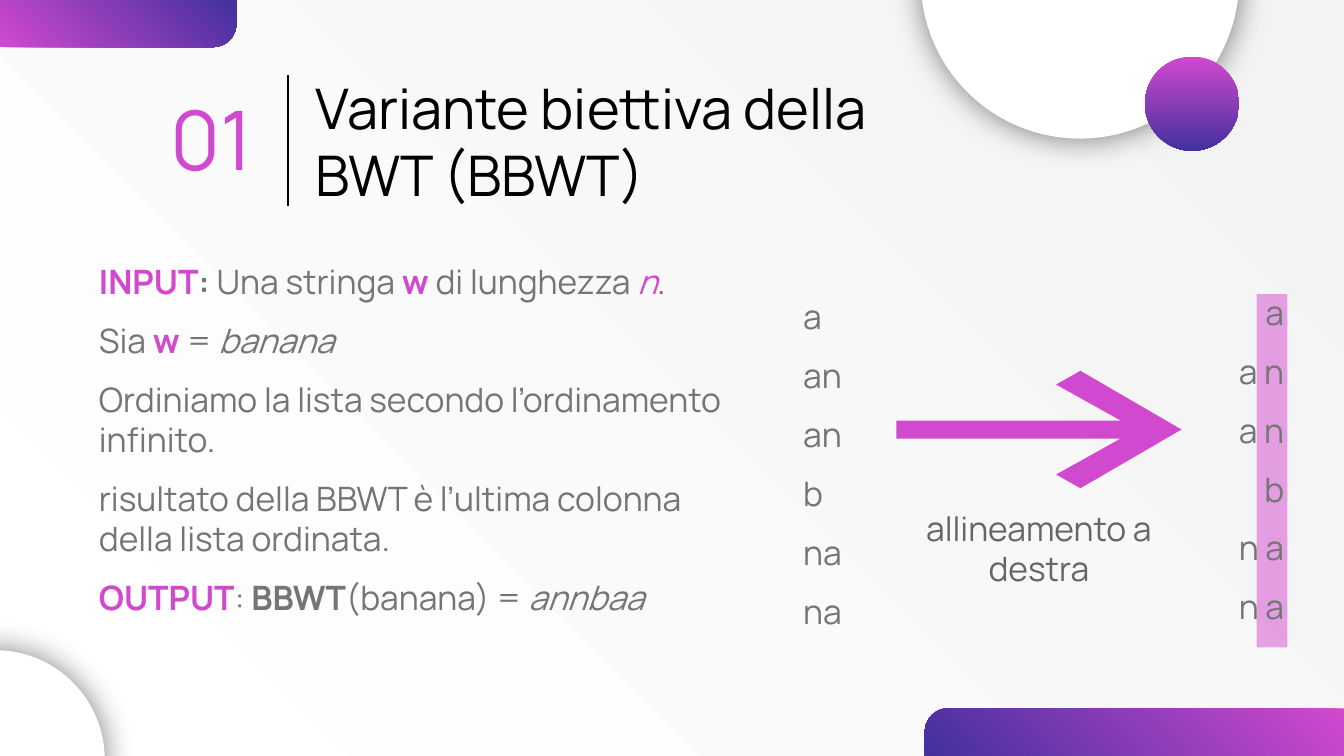
import dataclasses

import lxml.etree
import pptx
import pptx.dml.color
import pptx.enum.dml
import pptx.enum.shapes
import pptx.enum.text
import pptx.oxml
import pptx.oxml.ns
import pptx.util

Cm = pptx.util.Cm
Pt = pptx.util.Pt
ALIGN = pptx.enum.text.PP_ALIGN
ANCHOR = pptx.enum.text.MSO_ANCHOR
SHAPES = pptx.enum.shapes.MSO_SHAPE


@dataclasses.dataclass(frozen=True)
class Theme:
    font: str = "Manrope"
    accent: str = "D149CE"
    violet: str = "43309F"
    black: str = "000000"
    white: str = "FFFFFF"
    pale: str = "F3F3F3"
    body: str = "757575"
    caption: str = "666666"
    title_size: int = 30
    number_size: int = 44
    body_size: int = 18


THEME = Theme()
BOLD = {"bold": True}
ITALIC = {"italic": True}
KEYWORD = {"color": THEME.accent, "bold": True}
VARIABLE = {"color": THEME.accent, "italic": True}

BODY = [
    [("INPUT", KEYWORD), (": ", BOLD), ("Una stringa ", {}), ("w", KEYWORD),
     (" di lunghezza ", {}), ("n", VARIABLE), (".", {})],
    [("Sia ", {}), ("w ", KEYWORD), ("= ", {}), ("banana", ITALIC)],
    [("Ordiniamo la lista secondo l’ordinamento infinito.", {})],
    [("risultato della BBWT è l’ultima colonna della lista ordinata.", {})],
    [("OUTPUT", KEYWORD), (": ", {}), ("BBWT", BOLD), ("(banana) = ", {}),
     ("annbaa", ITALIC)],
]
SORTED_WORDS = ["a", "an", "an", "b", "na", "na"]


def rgb(value):
    return pptx.dml.color.RGBColor.from_string(value)


def set_values(target, values):
    for name, value in values.items():
        setattr(target, name, value)


def plain(text):
    return [(text, {})]


def add_effects(shape, blur=None):
    effects = pptx.oxml.ns.qn("a:effectLst")
    properties = shape.element.spPr
    for old in properties.findall(effects):
        properties.remove(old)
    effect_list = lxml.etree.SubElement(properties, effects)
    if blur:
        shadow = lxml.etree.SubElement(
            effect_list, pptx.oxml.ns.qn("a:outerShdw"), blurRad=str(Pt(blur)), dist="0")
        color = lxml.etree.SubElement(shadow, pptx.oxml.ns.qn("a:srgbClr"), val=THEME.black)
        lxml.etree.SubElement(color, pptx.oxml.ns.qn("a:alpha"), val="50000")


def fill_gradient(fill, start, end, angle):
    fill.gradient()
    fill.gradient_angle = angle
    for stop, position, color in zip(fill.gradient_stops, (0, 1), (start, end)):
        set_values(stop, {"position": position})
        stop.color.rgb = rgb(color)


def fill_solid(shape, color):
    shape.fill.solid()
    shape.fill.fore_color.rgb = rgb(color)
    shape.line.fill.background()
    shape.shadow.inherit = False


def add_shape(slide, kind, box, color=THEME.accent):
    shape = slide.shapes.add_shape(kind, *map(Cm, box))
    fill_solid(shape, color)
    return shape


def add_corner(slide, box, rotation=0):
    corner = add_shape(slide, SHAPES.ROUND_1_RECTANGLE, box)
    corner.adjustments[0] = 0.5
    corner.rotation = rotation
    corner.element.spPr.get_or_add_xfrm().set("flipH", "1")
    fill_gradient(corner.fill, THEME.accent, THEME.violet, 315)


def add_disc(slide, left, top, size):
    disc = add_shape(slide, SHAPES.OVAL, (left, top, size, size), THEME.white)
    add_effects(disc, blur=16.9)


def write_text(frame, paragraphs, size, color, align=ALIGN.LEFT, anchor=ANCHOR.TOP,
               inset=0.13, indent=0.0):
    set_values(frame, {
        "word_wrap": True, "auto_size": pptx.enum.text.MSO_AUTO_SIZE.NONE,
        "vertical_anchor": anchor, "margin_left": Cm(0.25), "margin_right": Cm(0.25),
        "margin_top": Cm(inset), "margin_bottom": Cm(inset)})
    for index, runs in enumerate(paragraphs):
        paragraph = frame.add_paragraph() if index else frame.paragraphs[0]
        set_values(paragraph, {"alignment": align, "space_before": Pt(10 if index else 0)})
        properties = paragraph._p.get_or_add_pPr()
        properties.set("marL", str(Cm(indent)))
        properties.set("indent", "0")
        for text, style in runs:
            run = paragraph.add_run()
            run.text = text
            values = {"name": THEME.font, "size": Pt(size), "bold": False,
                      "italic": False, **style}
            run.font.color.rgb = rgb(values.pop("color", color))
            set_values(run.font, values)


def add_text(slide, box, paragraphs, size=THEME.body_size, color=THEME.body, **layout):
    text_box = slide.shapes.add_textbox(*map(Cm, box))
    write_text(text_box.text_frame, paragraphs, size, color, **layout)


def add_title(slide, box, lines):
    title = slide.shapes.title
    set_values(title, dict(zip(("left", "top", "width", "height"), map(Cm, box))))
    write_text(title.text_frame, [plain(lines[0])], THEME.title_size, THEME.black,
               anchor=ANCHOR.MIDDLE, inset=0.25)
    paragraph = title.text_frame.paragraphs[0]
    for line in lines[1:]:
        paragraph.add_line_break()
        run = paragraph.add_run()
        run.text = line
        set_values(run.font, {"name": THEME.font, "size": Pt(THEME.title_size)})
        run.font.color.rgb = rgb(THEME.black)


def add_divider(slide, x, top, bottom):
    line = slide.shapes.add_connector(
        pptx.enum.shapes.MSO_CONNECTOR.STRAIGHT, Cm(x), Cm(top), Cm(x), Cm(bottom))
    line.line.color.rgb = rgb(THEME.black)
    line.line.width = Pt(0.75)
    add_effects(line)


def add_arrow(slide, middle):
    upper = [(20.42, -1.11), (19.96, -0.85), (21.18, -0.17), (16.94, -0.17)]
    lower = [(x, -offset) for x, offset in reversed(upper)]
    points = [(Cm(x), Cm(middle + offset)) for x, offset in upper + lower + [(22.33, 0)]]
    builder = slide.shapes.build_freeform(*points[0])
    builder.add_line_segments(points[1:], close=True)
    fill_solid(builder.convert_to_shape(), THEME.accent)


def add_column_highlight(slide, box):
    bar = add_shape(slide, SHAPES.RECTANGLE, box)
    color = bar.element.spPr.find(".//" + pptx.oxml.ns.qn("a:srgbClr"))
    lxml.etree.SubElement(color, pptx.oxml.ns.qn("a:alpha"), val="50000")


def main():
    presentation = pptx.Presentation()
    set_values(presentation, {"slide_width": Cm(25.4), "slide_height": Cm(14.29)})
    slide = presentation.slides.add_slide(presentation.slide_layouts[5])
    fill_gradient(slide.background.fill, THEME.white, THEME.pale, 45)

    add_corner(slide, (17.48, 13.39, 7.92, 0.89))
    add_corner(slide, (0, 0, 4.47, 0.89), rotation=180)
    add_disc(slide, -2.16, 12.29, 4.14)
    add_disc(slide, 17.4, -3.4, 6.02)
    ball = add_shape(slide, SHAPES.OVAL, (21.64, 1.07, 1.78, 1.78))
    fill_gradient(ball.fill, THEME.accent, THEME.violet, 270)

    add_title(slide, (5.72, 1.5, 17.7, 2.31), ["Variante biettiva della", "BWT (BBWT)"])
    add_text(slide, (2.97, 1.37, 3.12, 2.46), [plain("01")], THEME.number_size,
             THEME.accent, anchor=ANCHOR.MIDDLE, inset=0.25)
    add_divider(slide, 5.44, 1.42, 3.89)

    add_text(slide, (1.24, 4.8, 12.98, 7.85), BODY, indent=0.38)
    add_text(slide, (14.55, 5.46, 1.96, 7.77), map(plain, SORTED_WORDS), indent=0.38)
    add_text(slide, (16.74, 9.35, 5.41, 2.72), [plain("allineamento a destra")],
             color=THEME.caption, align=ALIGN.CENTER, inset=0.25, indent=0.38)
    add_arrow(slide, 8.12)
    add_column_highlight(slide, (23.75, 5.56, 0.58, 6.68))
    add_text(slide, (22.56, 5.38, 1.96, 6.65),
             [plain(" ".join(word)) for word in SORTED_WORDS],
             align=ALIGN.RIGHT, indent=0.38)
    presentation.save("out.pptx")


if __name__ == "__main__":
    main()
